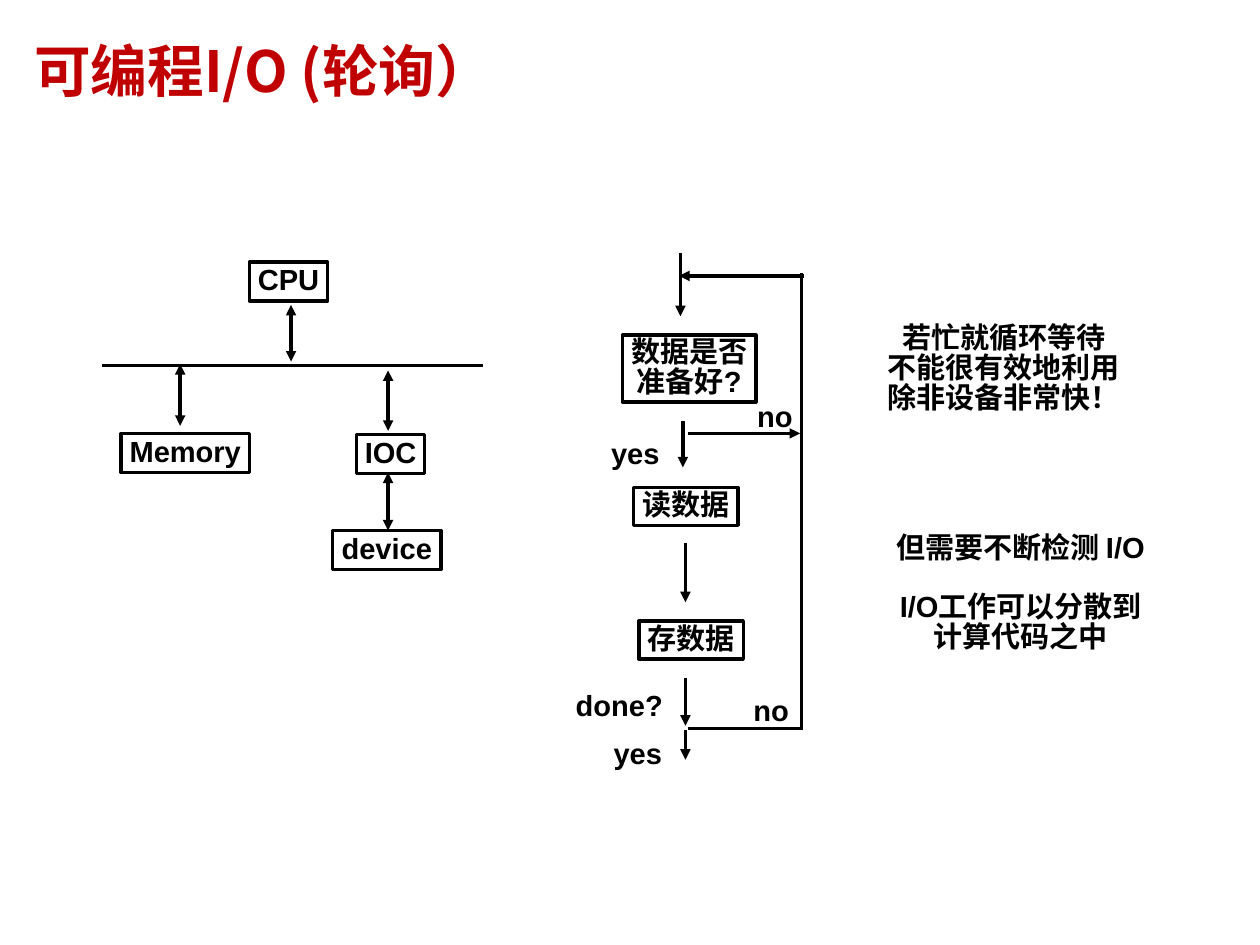
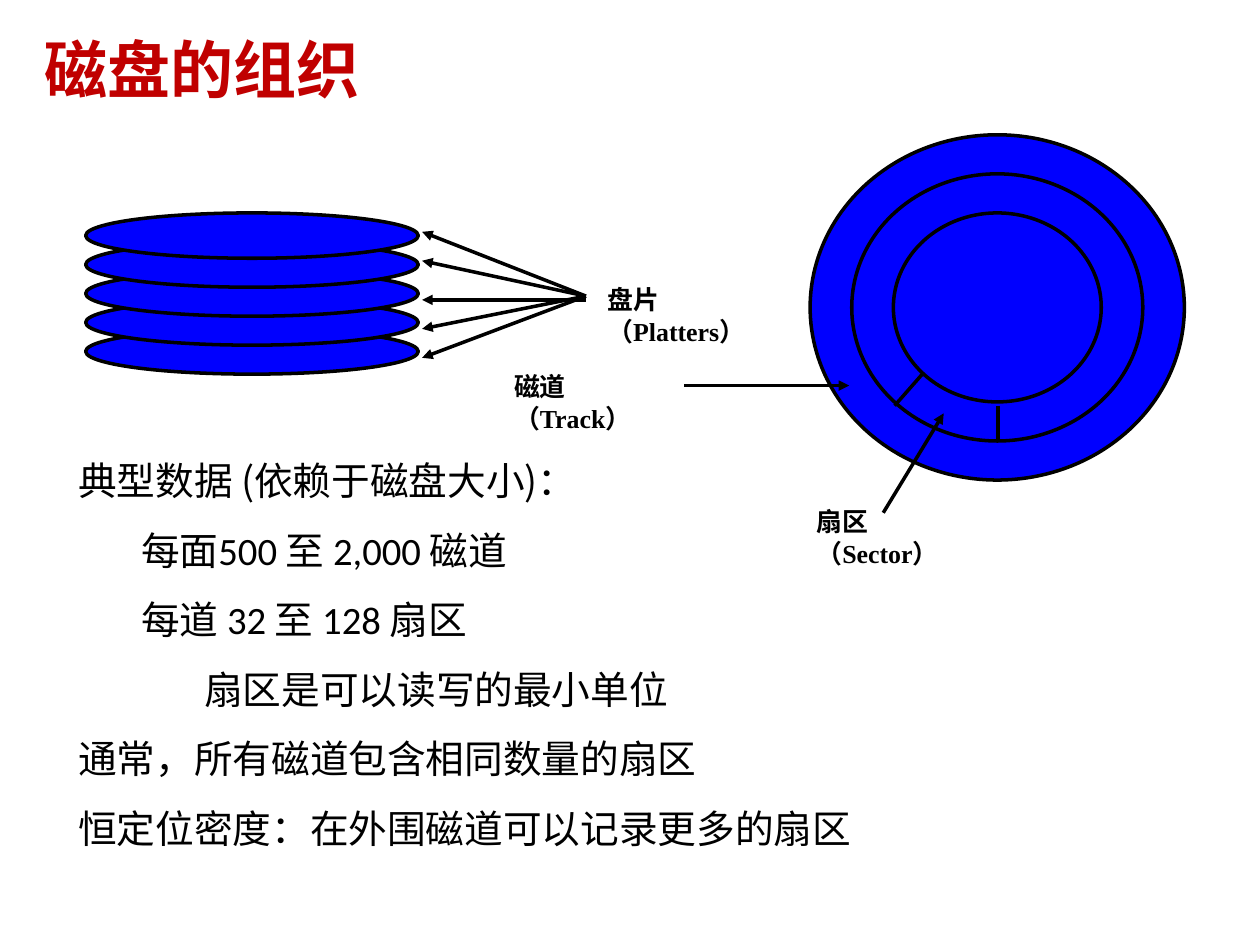
from dataclasses import dataclass

from lxml.etree import SubElement
from pptx import Presentation
from pptx.dml.color import RGBColor
from pptx.enum.shapes import MSO_CONNECTOR, MSO_SHAPE
from pptx.enum.text import MSO_ANCHOR as Anchor, PP_ALIGN as Align
from pptx.oxml.ns import qn
from pptx.slide import Slide
from pptx.util import Inches, Pt

COLORS = {"title": "C00000", "ink": "000000", "disk": "0000FF"}
CJK_FONT = "Noto Sans CJK SC"
LINE_WIDTH = Pt(2)


def color(name):
    """Return a palette colour."""
    return RGBColor.from_string(COLORS[name])


def write(frame, lines, font, size, spacing=None, bold=True, ink="ink",
          align=Align.LEFT, inset=(0, 0), anchor=Anchor.TOP, wrap=False):
    """Fill a text frame with evenly formatted paragraphs."""
    frame.word_wrap = wrap
    frame.vertical_anchor = anchor
    frame.margin_left = frame.margin_right = Inches(inset[0])
    frame.margin_top = frame.margin_bottom = Inches(inset[1])
    frame.text = "\n".join(lines)
    for para in frame.paragraphs:
        para.alignment = align
        para.space_before = Pt(0)
        if spacing:
            para.line_spacing = Pt(spacing)
        for span in para.runs:
            span.font.name = font
            span.font.size = Pt(size)
            span.font.bold = bold
            span.font.color.rgb = color(ink)
            SubElement(span.font._element, qn("a:ea"), typeface=CJK_FONT)


@dataclass
class Region:
    """An area of a page whose parts are placed from its top left corner."""

    page: Slide
    left: float
    top: float

    def at(self, x, y):
        """Convert a point of the region to a point of the page."""
        return Inches(self.left + x), Inches(self.top + y)

    def shape(self, kind, x, y, width, height, fill=None):
        """Draw an outlined preset shape."""
        shape = self.page.shapes.add_shape(
            kind, *self.at(x, y), Inches(width), Inches(height))
        shape.shadow.inherit = False
        shape.line.color.rgb = color("ink")
        shape.line.width = LINE_WIDTH
        if fill:
            shape.fill.solid()
            shape.fill.fore_color.rgb = color(fill)
        else:
            shape.fill.background()
        return shape

    def node(self, x, y, width, height, *lines):
        """Draw a rectangle with centred text."""
        box = self.shape(MSO_SHAPE.RECTANGLE, x, y, width, height)
        write(box.text_frame, lines, "Arial", 16.6, 17, align=Align.CENTER,
              inset=(0.06, 0.03), anchor=Anchor.MIDDLE)

    def line(self, start, end, head=False, tail=False):
        """Draw a straight line with optional arrowheads."""
        line = self.page.shapes.add_connector(
            MSO_CONNECTOR.STRAIGHT, *self.at(*start), *self.at(*end))
        line.line.color.rgb = color("ink")
        line.line.width = LINE_WIDTH
        outline = line.line._get_or_add_ln()
        for tag, wanted in (("a:headEnd", head), ("a:tailEnd", tail)):
            if wanted:
                SubElement(outline, qn(tag), type="triangle")
        SubElement(line._element.spPr, qn("a:effectLst"))

    def text(self, x, y, width, height, *lines, align=Align.LEFT):
        """Place diagram text and return its frame."""
        box = self.page.shapes.add_textbox(
            *self.at(x, y), Inches(width), Inches(height))
        write(box.text_frame, lines, "Arial", 16.6, 17, align=align,
              inset=(0.06, 0.03))
        return box.text_frame

    def caption(self, x, y, width, text):
        """Place a narrow serif caption."""
        box = self.page.shapes.add_textbox(
            *self.at(x, y), Inches(width), Inches(0.59))
        write(box.text_frame, [text], "Times New Roman", 14.8, 18,
              inset=(0.09, 0.04), wrap=True)


def place(holder, left, top, width, height):
    """Move a placeholder to its position."""
    holder.left, holder.top = Inches(left), Inches(top)
    holder.width, holder.height = Inches(width), Inches(height)


def add_title(page, text, size, box, inset=(0, 0)):
    """Fill the title placeholder in the shared style."""
    place(page.shapes.title, *box)
    write(page.shapes.title.text_frame, [text], CJK_FONT, size, ink="title",
          inset=inset, anchor=Anchor.MIDDLE, wrap=True)


def draw_bus(area):
    """Draw the processor, memory and device around the bus."""
    area.node(1.17, 0, 0.62, 0.31, "CPU")
    area.node(0.15, 1.36, 1.02, 0.31, "Memory")
    area.node(2.02, 1.37, 0.54, 0.31, "IOC")
    area.node(1.83, 2.13, 0.86, 0.31, "device")
    area.line((0, 0.82), (3.02, 0.82))
    for x, top, bottom in ((1.5, 0.34, 0.79), (0.62, 0.81, 1.3),
                           (2.27, 0.86, 1.34), (2.27, 1.67, 2.13)):
        area.line((x, top), (x, bottom), head=True, tail=True)


def draw_polling_flow(area):
    """Draw the polling flow chart with its return loop."""
    area.node(0.44, 0.66, 1.06, 0.53, "数据是否", "准备好?")
    area.node(0.53, 1.87, 0.83, 0.3, "读数据")
    area.node(0.57, 2.93, 0.83, 0.3, "存数据")
    for x, top, bottom in ((0.9, 0.01, 0.51), (0.92, 1.34, 1.71),
                           (0.94, 2.31, 2.78), (0.94, 3.38, 3.76),
                           (0.94, 3.79, 4.03)):
        area.line((x, top), (x, bottom), tail=True)
    area.line((0.96, 1.44), (1.85, 1.44), tail=True)
    area.line((0.96, 3.78), (1.85, 3.78))
    area.line((1.86, 3.79), (1.86, 0.17))
    area.line((1.88, 0.19), (0.89, 0.19), tail=True)
    for x, y, width, answer in ((0.29, 1.47, 0.52, "yes"),
                                (1.45, 1.17, 0.41, "no"),
                                (0.01, 3.47, 0.83, "done?"),
                                (1.42, 3.51, 0.41, "no"),
                                (0.31, 3.85, 0.52, "yes")):
        area.text(x, y, width, 0.29, answer)


def draw_remarks(area):
    """Place the two remarks beside the flow chart."""
    area.text(0, 0, 1.99, 0.77, "若忙就循环等待", "不能很有效地利用",
              "除非设备非常快！", align=Align.CENTER)
    remark = area.text(0.03, 1.66, 2.2, 1, "但需要不断检测 I/O",
                       "I/O工作可以分散到", "计算代码之中", align=Align.CENTER)
    remark.paragraphs[1].space_before = Pt(17)


def draw_platters(area):
    """Draw the stack of platters and the arrows to it."""
    pitch = 0.23
    for level in reversed(range(5)):
        area.shape(MSO_SHAPE.OVAL, 0, level * pitch, 2.64, 0.36, "disk")
    for level in range(5):
        tip = 0.15 + level * pitch + (0.08 if level >= 2 else 0)
        origin = tip if level == 2 else 0.66
        area.line((2.67, tip), (3.97, origin), head=True)
    area.caption(4.05, 0.52, 1.51, "盘片（Platters）")


def draw_surface(area):
    """Draw one disk surface with its tracks and a sector."""
    for ring in range(3):
        x, y = ring * 0.33, ring * 0.31
        area.shape(MSO_SHAPE.OVAL, x, y, 2.97 - 2 * x, 2.74 - 2 * y,
                   None if ring else "disk")
    area.line((1.49, 2.15), (1.49, 2.44))
    area.line((0.67, 2.15), (0.89, 1.9))
    area.line((-1, 1.99), (0.31, 1.99), tail=True)
    area.line((0.58, 3), (1.06, 2.21), tail=True)
    area.caption(-2.44, 1.83, 1.34, "磁道（Track）")
    area.caption(-0.04, 2.9, 1.38, "扇区（Sector）")


def add_disk_facts(page):
    """Fill the body placeholder with indented lines."""
    facts = ((0, "典型数据 (依赖于磁盘大小)："), (1, "每面500 至 2,000 磁道"),
             (1, "每道 32 至 128 扇区"), (2, "扇区是可以读写的最小单位"),
             (0, "通常，所有磁道包含相同数量的扇区"),
             (0, "恒定位密度：在外围磁道可以记录更多的扇区"))
    body = page.placeholders[1]
    place(body, 0.62, 3.44, 9.38, 3.28)
    write(body.text_frame, [text for _, text in facts], CJK_FONT, 22.1, 39.8,
          bold=False, wrap=True)
    for para, (level, _) in zip(body.text_frame.paragraphs, facts):
        para.level = level
        props = para._p.get_or_add_pPr()
        props.set("marL", str(Inches(0.5 * level)))
        props.set("indent", "0")
        SubElement(props, qn("a:buNone"))
        if level:
            para.runs[0].font.name = "Calibri"


def add_polling_page(deck):
    """Build the page on polled input and output."""
    page = deck.slides.add_slide(deck.slide_layouts[5])
    add_title(page, "可编程I/O (轮询）", 32.4, (0.18, 0.35, 9.27, 0.41),
              (0.09, 0.04))
    draw_bus(Region(page, 0.81, 2.08))
    draw_polling_flow(Region(page, 4.5, 2))
    draw_remarks(Region(page, 6.97, 2.55))


def add_disk_page(deck):
    """Build the page on disk organisation."""
    page = deck.slides.add_slide(deck.slide_layouts[1])
    add_title(page, "磁盘的组织", 36, (0.35, 0.22, 3.89, 0.64))
    add_disk_facts(page)
    draw_platters(Region(page, 0.68, 1.69))
    draw_surface(Region(page, 6.43, 1.07))


def main():
    """Build and save the deck."""
    deck = Presentation()
    deck.slide_width, deck.slide_height = Inches(10), Inches(7.5)
    add_polling_page(deck)
    add_disk_page(deck)
    deck.save("out.pptx")


if __name__ == "__main__":
    main()
